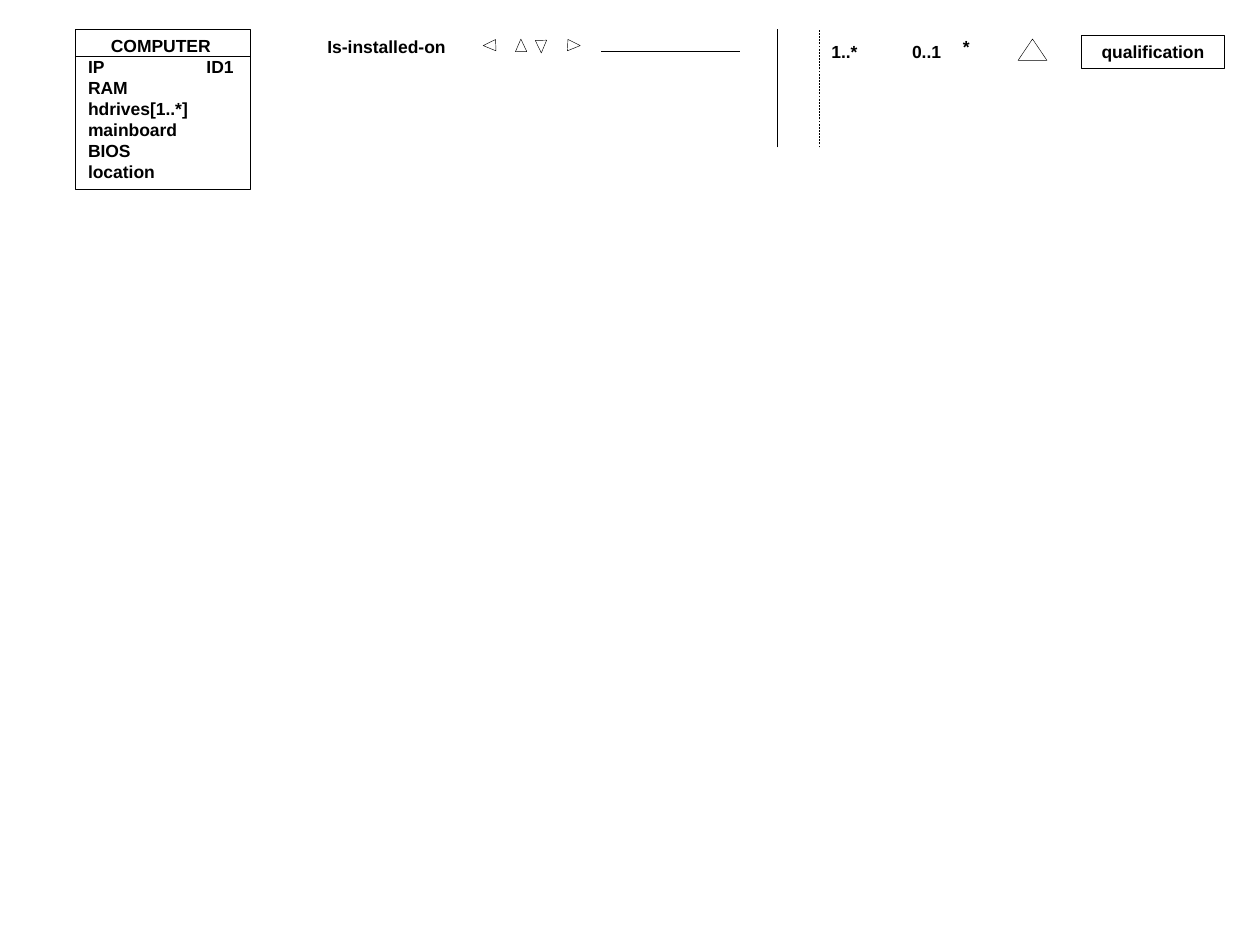
from dataclasses import dataclass

from lxml.etree import SubElement
from pptx import Presentation
from pptx.dml.color import RGBColor as RGB
from pptx.enum.dml import MSO_LINE as DASH
from pptx.enum.shapes import MSO_CONNECTOR as CONN, MSO_SHAPE as SHAPE
from pptx.enum.text import MSO_ANCHOR as ANCHOR, MSO_AUTO_SIZE as FIT, PP_ALIGN as ALIGN
from pptx.oxml.ns import qn
from pptx.util import Inches, Pt


@dataclass(frozen=True)
class Theme:
    ink: RGB = RGB(0, 0, 0)
    paper: RGB = RGB(255, 255, 255)
    font: str = "Arial"
    size: Pt = Pt(10)
    line: Pt = Pt(0.25)


THEME = Theme()


def set_line(line, dash=None):
    line.color.rgb = THEME.ink
    line.width = THEME.line
    if dash:
        line.dash_style = dash


def add_tab(p, position):
    tabs = SubElement(p._p.get_or_add_pPr(), qn("a:tabLst"))
    SubElement(tabs, qn("a:tab"), pos=str(Inches(position)), algn="l")


def write(sp, lines, align=ALIGN.LEFT, wrap=True):
    tf = sp.text_frame
    tf.word_wrap = wrap
    tf.auto_size = FIT.SHAPE_TO_FIT_TEXT
    tf.vertical_anchor = ANCHOR.TOP
    for i, text in enumerate(lines):
        p = tf.add_paragraph() if i else tf.paragraphs[0]
        p.alignment = ALIGN.LEFT if i else align
        if "\t" in text:
            add_tab(p, 0.94)
        r = p.add_run()
        r.text = text
        r.font.name = THEME.font
        r.font.size = THEME.size
        r.font.bold = True
        r.font.color.rgb = THEME.ink


def add_label(s, box, text, wrap=True):
    sp = s.shapes.add_textbox(*map(Inches, box))
    write(sp, [text], wrap=wrap)


def add_line(s, x1, y1, x2, y2, dash=None):
    line = s.shapes.add_connector(CONN.STRAIGHT, *map(Inches, (x1, y1, x2, y2)))
    set_line(line.line, dash)
    SubElement(line._element.spPr, qn("a:effectLst"))


def add_outline(s, kind, box):
    sp = s.shapes.add_shape(kind, *map(Inches, box))
    sp.shadow.inherit = False
    sp.fill.background()
    set_line(sp.line)
    return sp


def add_triangle(s, box, rotation=0):
    sp = add_outline(s, SHAPE.ISOSCELES_TRIANGLE, box)
    sp.fill.solid()
    sp.fill.fore_color.rgb = THEME.paper
    sp.rotation = rotation


def add_box(s, box, lines):
    write(add_outline(s, SHAPE.RECTANGLE, box), lines, ALIGN.CENTER)


def add_class(s, box, name, attributes):
    x, y, w, h = box
    add_box(s, box, [name, *attributes])
    add_line(s, x, y + 0.22, x + w, y + 0.22)


def add_association(s, box):
    x, y, w, h = box
    add_label(s, (x, y, 1.14, h), "Is-installed-on", wrap=False)
    arrows = [(1.34, 0.07, 268.1), (1.59, 0.07, 358.9), (1.75, 0.08, 178.5), (2.01, 0.07, 92.4)]
    for dx, dy, rotation in arrows:
        add_triangle(s, (x + dx, y + dy, 0.09, 0.1), rotation)
    add_line(s, x + w, y + 0.17, x + 2.27, y + 0.17)


def add_vertical_links(s, box):
    x, y, w, h = box
    add_line(s, x, y + h, x, y)
    add_line(s, x + w, y + h, x + w, y, DASH.DASH)


def add_multiplicities(s, box):
    x, y, w, h = box
    add_label(s, (x, y + 0.04, 0.44, h), "1..*")
    add_label(s, (x + 0.64, y + 0.04, 0.44, h), "0..1")
    add_label(s, (x + w - 0.16, y, 0.16, h), "*")


def main():
    prs = Presentation()
    prs.slide_width, prs.slide_height = Inches(10), Inches(7.5)
    s = prs.slides.add_slide(prs.slide_layouts[6])
    attributes = ["IP\tID1", "RAM", "hdrives[1..*]", "mainboard", "BIOS", "location"]
    add_class(s, (0.6, 0.23, 1.39, 1.27), "COMPUTER ", attributes)
    add_association(s, (2.5, 0.24, 3.37, 0.26))
    add_vertical_links(s, (6.17, 0.23, 0.33, 0.94))
    add_multiplicities(s, (6.5, 0.24, 1.24, 0.26))
    add_triangle(s, (8.08, 0.31, 0.23, 0.17))
    add_box(s, (8.58, 0.28, 1.14, 0.26), ["qualification"])
    prs.save("out.pptx")


if __name__ == "__main__":
    main()
